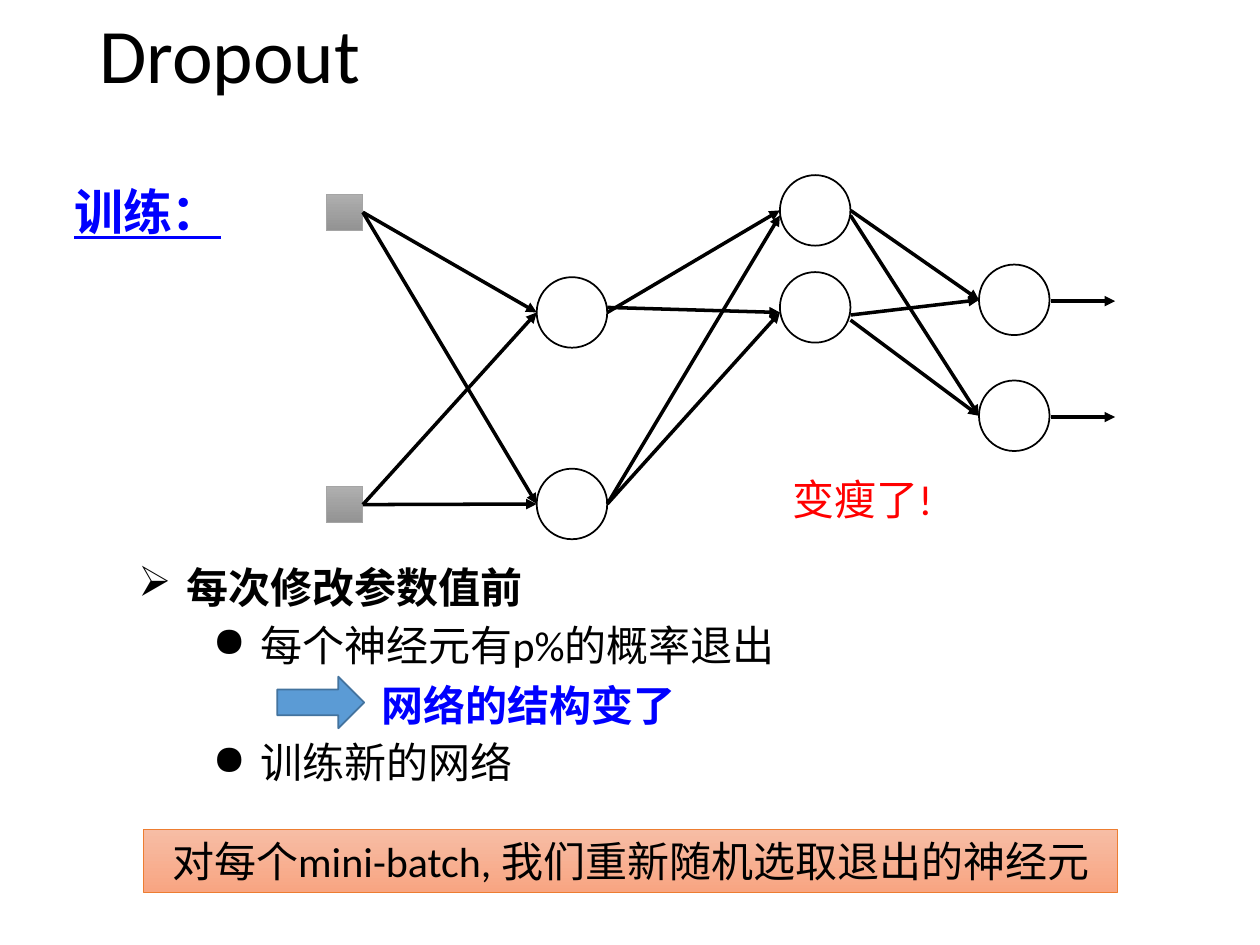
import pptx
import pptx.util
import pptx.dml.color
import pptx.enum.shapes
import pptx.enum.text
import pptx.oxml
import pptx.oxml.ns

Inches = pptx.util.Inches
Pt = pptx.util.Pt
RGBColor = pptx.dml.color.RGBColor
Kind = pptx.enum.shapes.MSO_SHAPE
Align = pptx.enum.text.PP_ALIGN
Anchor = pptx.enum.text.MSO_ANCHOR

BLACK = RGBColor(0x00, 0x00, 0x00)
BLUE = RGBColor(0x00, 0x00, 0xFF)
RED = RGBColor(0xFF, 0x00, 0x00)
GRAY = RGBColor(0xA5, 0xA5, 0xA5)
GRAYS = RGBColor(0xAF, 0xAF, 0xAF), RGBColor(0x93, 0x93, 0x93)
ORANGE = RGBColor(0xED, 0x7D, 0x31)
PEACH = RGBColor(0xF7, 0xBD, 0xA5), RGBColor(0xF8, 0xA5, 0x82)
SKY = RGBColor(0x5B, 0x9B, 0xD5)
NAVY = RGBColor(0x43, 0x73, 0x9E)

BODY = {"name": "Calibri", "size": Pt(24)}
STRONG = {**BODY, "bold": True}


def add_mark(para, mark):
    """Give a paragraph a bullet with a hanging indent."""
    props = para._p.get_or_add_pPr()
    hang = Inches(0.38)
    props.set("marL", str(hang))
    props.set("indent", str(-hang))
    bullet = pptx.oxml.ns.qn("a:buChar")
    props.append(props.makeelement(bullet, {"char": mark}))


def write(shape, text, style, color=BLACK, mark=None, align=None):
    frame = shape.text_frame
    frame.word_wrap = True
    para = frame.paragraphs[0]
    if mark:
        add_mark(para, mark)
    para.alignment = align
    run = para.add_run()
    run.text = text
    for key, value in style.items():
        setattr(run.font, key, value)
    run.font.color.rgb = color
    return frame


def add_text(slide, box, text, style, **looks):
    shape = slide.shapes.add_textbox(*map(Inches, box))
    return write(shape, text, style, **looks)


def add_form(slide, kind, box, line, width, fill=None):
    """Draw a preset shape; a pair of fill colours makes a gradient."""
    shape = slide.shapes.add_shape(kind, *map(Inches, box))
    shape.shadow.inherit = False
    shape.line.color.rgb = line
    shape.line.width = Pt(width)
    if fill is None:
        shape.fill.background()
    elif isinstance(fill, RGBColor):
        shape.fill.solid()
        shape.fill.fore_color.rgb = fill
    else:
        shape.fill.gradient()
        shape.fill.gradient_angle = 270
        for stop, color in zip(shape.fill.gradient_stops, fill):
            stop.color.rgb = color
            stop.position = fill.index(color)
    return shape


def add_wire(slide, start, end):
    straight = pptx.enum.shapes.MSO_CONNECTOR.STRAIGHT
    wire = slide.shapes.add_connector(straight, *start, *end)
    wire.line.color.rgb = BLACK
    wire.line.width = Pt(2)
    qn = pptx.oxml.ns.qn
    line = wire.line._ln
    line.append(line.makeelement(qn("a:tailEnd"), {"type": "triangle"}))
    props = wire._element.spPr
    props.append(props.makeelement(qn("a:effectLst"), {}))
    return wire


def draw_head(slide, left, top):
    # Title and section label
    style = {"name": "Calibri", "size": Pt(44)}
    frame = add_text(slide, (left + 0.2, top, 8.62, 0.83), "Dropout", style)
    frame.vertical_anchor = Anchor.MIDDLE
    frame.paragraphs[0].line_spacing = 0.9
    style = {**STRONG, "size": Pt(28), "underline": True}
    add_text(slide, (left, top + 1.34, 1.6, 0.57), "训练：", style, color=BLUE)


def draw_net(slide, left, top):
    # Input squares and neurons, layer by layer
    layers = {
        "in": (0, 0.29, (0.15, 2.47)),
        "hid": (1.67, 0.56, (0.81, 2.33)),
        "mid": (3.6, 0.56, (0, 0.77)),
        "out": (5.18, 0.56, (0.71, 1.63)),
    }
    nodes = {}
    for name, (x, size, tops) in layers.items():
        for num, y in enumerate(tops, 1):
            box = left + x, top + y, size, size
            if name == "in":
                node = add_form(slide, Kind.RECTANGLE, box, GRAY, 0.5, GRAYS)
            else:
                node = add_form(slide, Kind.OVAL, box, BLACK, 1)
            nodes[name, num] = node

    # Wires between layers, with small shifts at start and end
    shifts = {
        ("hid", 1, 2): (-0.04, 0.04),
        ("hid", 2, 1): (0, 0.04),
        ("hid", 2, 2): (0, 0.04),
        ("mid", 1, 2): (0.04, 0),
        ("mid", 2, 1): (0.06, 0),
        ("mid", 2, 2): (0.1, 0),
    }
    names = list(layers)
    for here, there in zip(names, names[1:]):
        for i in (1, 2):
            for j in (1, 2):
                source, target = nodes[here, i], nodes[there, j]
                lift, drop = shifts.get((here, i, j), (0, 0))
                start = (source.left + source.width,
                         source.top + source.height // 2 + Inches(lift))
                end = (target.left,
                       target.top + target.height // 2 + Inches(drop))
                wire = add_wire(slide, start, end)
                if here == "in":
                    wire.begin_connect(source, 3)

    # Outputs
    for num in (1, 2):
        node = nodes["out", num]
        x = node.left + node.width + Inches(0.01)
        y = node.top + node.height // 2 + Inches(0.01)
        add_wire(slide, (x, y), (x + Inches(0.51), y))

    # Remark
    add_text(slide, (left + 3.34, top + 2.32, 1.83, 0.5), "变瘦了!", BODY,
             color=RED, align=Align.CENTER)


def draw_steps(slide, left, top):
    # Bulleted steps, with an arrow to the effect
    add_text(slide, (left, top, 6.77, 0.5), "每次修改参数值前", STRONG, mark="➢")
    points = {0.46: "每个神经元有p%的概率退出", 1.39: "训练新的网络"}
    for y, text in points.items():
        add_text(slide, (left + 0.59, top + y, 7.03, 0.5), text, BODY, mark="●")
    add_form(slide, Kind.RIGHT_ARROW, (left + 1.2, top + 0.96, 0.69, 0.41),
             NAVY, 1, SKY)
    add_text(slide, (left + 1.93, top + 0.93, 6.28, 0.5), "网络的结构变了",
             STRONG, color=BLUE)


def draw_note(slide, left, top):
    # Closing banner
    bar = add_form(slide, Kind.RECTANGLE, (left, top, 7.73, 0.5),
                   ORANGE, 0.5, PEACH)
    write(bar, "对每个mini-batch, 我们重新随机选取退出的神经元", BODY,
          align=Align.CENTER)


def main():
    deck = pptx.Presentation()
    deck.slide_width = Inches(10)
    deck.slide_height = Inches(7.5)
    slide = deck.slides.add_slide(deck.slide_layouts[6])
    draw_head(slide, 0.49, 0.05)
    draw_net(slide, 2.59, 1.39)
    draw_steps(slide, 1, 4.41)
    draw_note(slide, 1.14, 6.58)
    deck.save("out.pptx")


if __name__ == "__main__":
    main()
